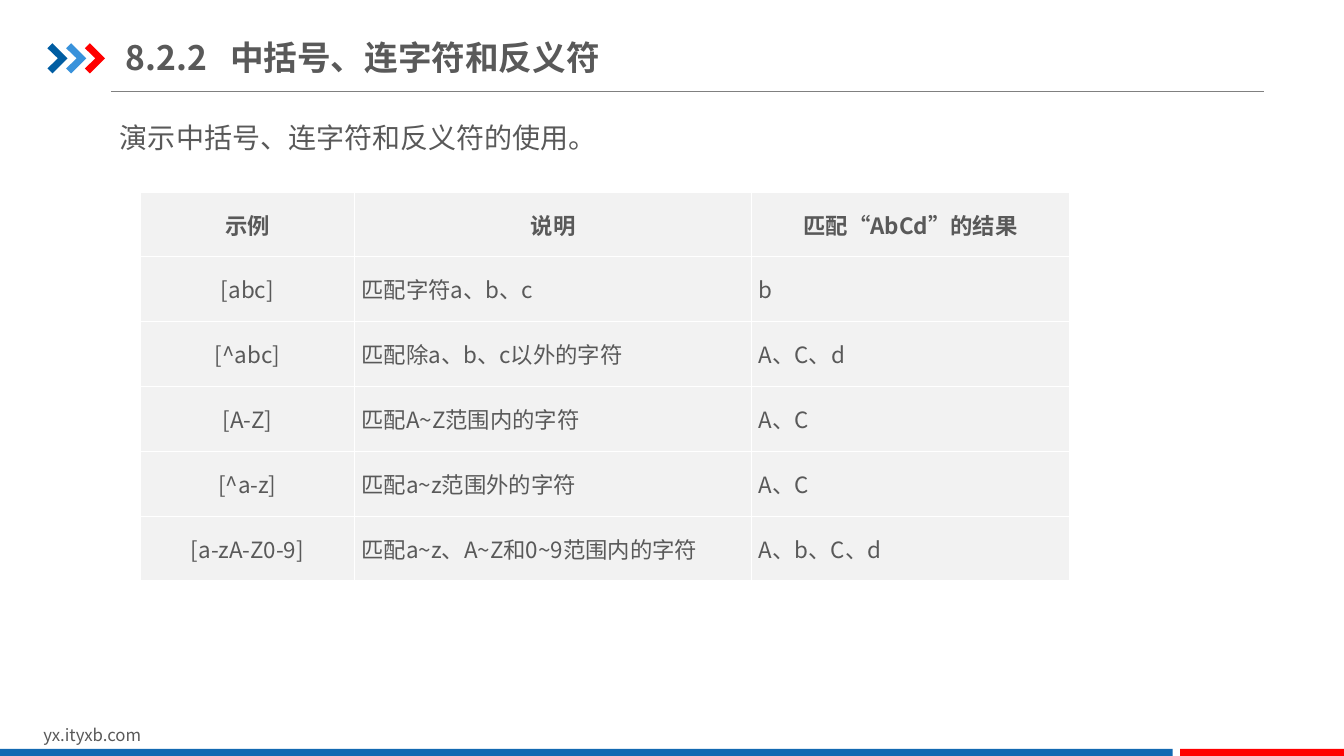
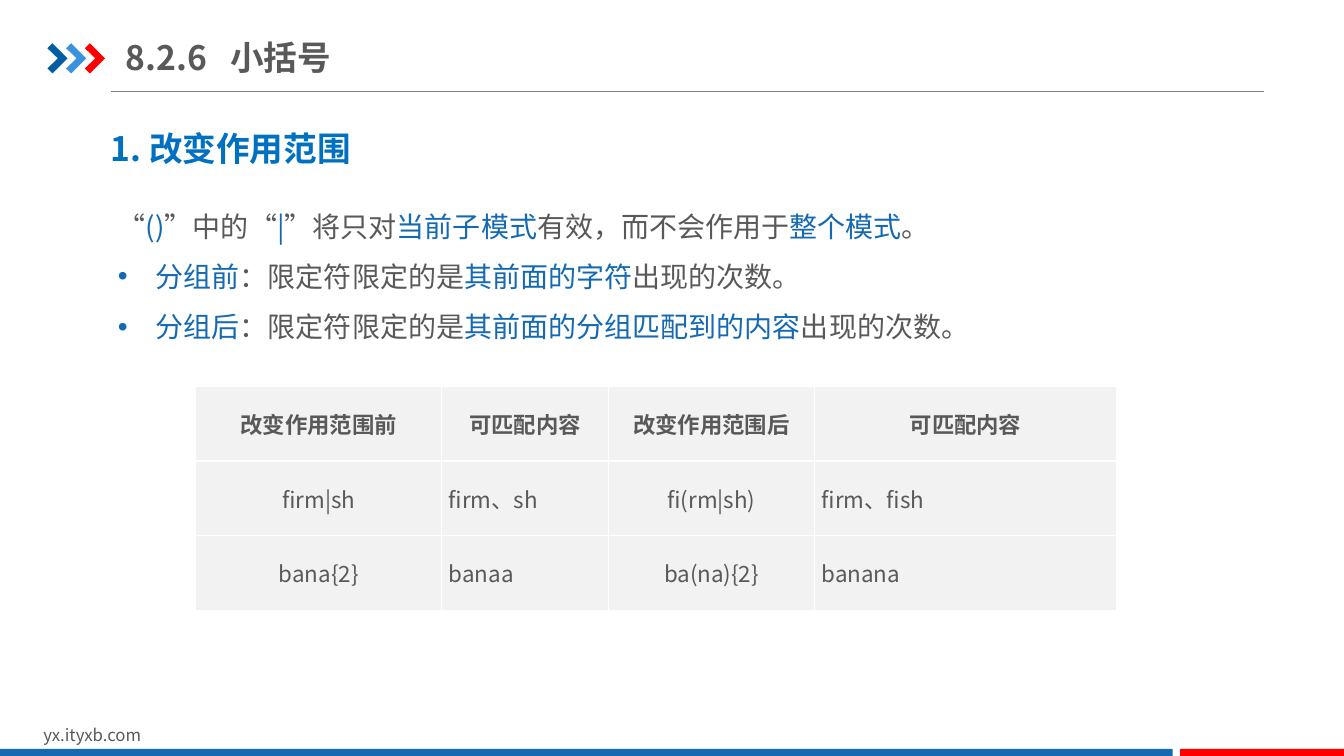
from lxml import etree
from pptx import Presentation
from pptx.dml.color import RGBColor
from pptx.enum.shapes import MSO_CONNECTOR, MSO_SHAPE
from pptx.enum.text import MSO_ANCHOR, MSO_AUTO_SIZE, PP_ALIGN
from pptx.oxml.ns import qn
from pptx.util import Inches, Pt

LEFT, CENTER = PP_ALIGN.LEFT, PP_ALIGN.CENTER
TOP, MIDDLE = MSO_ANCHOR.TOP, MSO_ANCHOR.MIDDLE
NO_AUTOFIT = MSO_AUTO_SIZE.NONE
RECTANGLE, STRAIGHT = MSO_SHAPE.RECTANGLE, MSO_CONNECTOR.STRAIGHT

FONT = "Noto Sans CJK SC"
TEXT_GRAY = RGBColor(0x59, 0x59, 0x59)
RULE_GRAY = RGBColor(0x80, 0x80, 0x80)
CELL_GRAY = RGBColor(0xF2, 0xF2, 0xF2)
ACCENT_BLUE = RGBColor(0x13, 0x69, 0xB2)
HEADING_BLUE = RGBColor(0x00, 0x70, 0xC0)
DARK_BLUE = RGBColor(0x00, 0x5D, 0xA2)
LIGHT_BLUE = RGBColor(0x39, 0x92, 0xDB)
RED = RGBColor(0xFF, 0x00, 0x00)

COLUMNS, ROWS = 160, 90
TITLE_ONLY = 5
CHEVRON = [(0, 0.6), (0.6, 0), (2.4, 1.8), (0.6, 3.6), (0, 3), (1.25, 1.8)]
CHEVRON_PITCH = 2.23


def grid(units):
    """Convert columns or rows of the square grid to a length."""
    return Inches(units / 12)


def style_runs(paragraph, size, color=TEXT_GRAY, bold=False):
    for run in paragraph.runs:
        font = run.font
        font.size, font.bold, font.name = Pt(size), bold, FONT
        font.color.rgb = color
        east_asian = etree.Element(qn("a:ea"), typeface=FONT)
        run._r.get_or_add_rPr().find(qn("a:latin")).addnext(east_asian)


def set_indent(paragraph, margin, first_line):
    properties = paragraph._p.get_or_add_pPr()
    properties.set("marL", str(grid(margin)))
    properties.set("indent", str(grid(first_line)))
    return properties


def add_bullet(paragraph):
    properties = set_indent(paragraph, 4.5, -4.5)
    etree.SubElement(properties, qn("a:buFont"), typeface="Arial")
    etree.SubElement(properties, qn("a:buChar"), char="•")


def set_cell_borders(cell):
    properties = cell._tc.get_or_add_tcPr()
    for side in ("lnL", "lnR", "lnT", "lnB"):
        line = etree.SubElement(properties, qn(f"a:{side}"), w=str(Pt(1)))
        fill = etree.SubElement(line, qn("a:solidFill"))
        etree.SubElement(fill, qn("a:srgbClr"), val="FFFFFF")


class Deck:
    """Holds the common style and the slide being filled."""

    def __init__(self):
        self.presentation = Presentation()
        self.presentation.slide_width = grid(COLUMNS)
        self.presentation.slide_height = grid(ROWS)
        self.slide = None

    def new_slide(self, number, title):
        layout = self.presentation.slide_layouts[TITLE_ONLY]
        self.slide = self.presentation.slides.add_slide(layout)
        self.title(number, title)
        self.rule(13.2, 150.5, 10.92)
        for index, color in enumerate((DARK_BLUE, LIGHT_BLUE, RED)):
            self.chevron(5.65 + index * CHEVRON_PITCH, 5.15, color)
        self.text("yx.ityxb.com", 4, 85.7, 38.2, 3.6, size=12)
        self.bar(0, 139.6, ACCENT_BLUE)
        self.bar(140.5, COLUMNS, RED)

    def title(self, number, title):
        shape = self.slide.shapes.title
        shape.left, shape.top = grid(15), grid(3.5)
        shape.width, shape.height = grid(100), grid(6.6)
        frame = shape.text_frame
        frame.text = f"{number}\t{title}"
        frame.auto_size, frame.vertical_anchor = NO_AUTOFIT, MIDDLE
        frame.margin_left = frame.margin_right = 0
        paragraph = frame.paragraphs[0]
        paragraph.alignment = LEFT
        tabs = etree.SubElement(paragraph._p.get_or_add_pPr(), qn("a:tabLst"))
        etree.SubElement(tabs, qn("a:tab"), pos=str(grid(12.4)), algn="l")
        style_runs(paragraph, 24, bold=True)

    def rule(self, left, right, top):
        connector = self.slide.shapes.add_connector(
            STRAIGHT, grid(left), grid(top), grid(right), grid(top))
        connector.line.color.rgb = RULE_GRAY
        connector.line.width = Pt(0.75)
        etree.SubElement(connector._element.spPr, qn("a:effectLst"))

    def paint(self, shape, color):
        shape.shadow.inherit = False
        shape.fill.solid()
        shape.fill.fore_color.rgb = color
        shape.line.fill.background()

    def chevron(self, left, top, color):
        points = [(grid(left + x), grid(top + y)) for x, y in CHEVRON]
        builder = self.slide.shapes.build_freeform(*points[0])
        builder.add_line_segments(points[1:], close=True)
        self.paint(builder.convert_to_shape(), color)

    def bar(self, left, right, color):
        top = 89.15
        shape = self.slide.shapes.add_shape(
            RECTANGLE, grid(left), grid(top), grid(right - left), grid(ROWS - top))
        self.paint(shape, color)

    def text_frame(self, left, top, width, height):
        box = self.slide.shapes.add_textbox(
            grid(left), grid(top), grid(width), grid(height))
        box.text_frame.word_wrap = True
        box.text_frame.vertical_anchor = TOP
        return box.text_frame

    def text(self, text, left, top, width, height, size=20,
             color=TEXT_GRAY, bold=False, first_line=0):
        frame = self.text_frame(left, top, width, height)
        frame.text = text
        set_indent(frame.paragraphs[0], 0, first_line)
        style_runs(frame.paragraphs[0], size, color, bold)

    def highlighted_list(self, lines, left, top, width, height):
        """Add an opening line and bullets; text between asterisks is blue."""
        frame = self.text_frame(left, top, width, height)
        frame.text = "\n".join(lines)
        for index, paragraph in enumerate(frame.paragraphs):
            paragraph.line_spacing = 1.5
            if index:
                add_bullet(paragraph)
            parts = paragraph.text.split("*")
            paragraph.clear()
            for part in filter(None, parts):
                paragraph.add_run().text = part
            style_runs(paragraph, 20)
            blue_parts = parts[1::2]
            for run in paragraph.runs:
                if run.text in blue_parts:
                    run.font.color.rgb = ACCENT_BLUE

    def table(self, rows, left, top, widths, row_height, centered):
        """Add a table whose header and `centered` columns are centred."""
        table = self.slide.shapes.add_table(
            len(rows), len(widths), grid(left), grid(top),
            grid(sum(widths)), grid(row_height * len(rows))).table
        table.horz_banding = False
        for column, width in zip(table.columns, widths):
            column.width = grid(width)
        for row_index, (row, texts) in enumerate(zip(table.rows, rows)):
            row.height = grid(row_height)
            header = row_index == 0
            for column_index, (cell, text) in enumerate(zip(row.cells, texts)):
                set_cell_borders(cell)
                cell.fill.solid()
                cell.fill.fore_color.rgb = CELL_GRAY
                cell.vertical_anchor = MIDDLE
                cell.margin_left = cell.margin_right = Inches(0.07)
                cell.margin_top = cell.margin_bottom = 0
                cell.text = text
                paragraph = cell.text_frame.paragraphs[0]
                is_centered = header or column_index in centered
                paragraph.alignment = CENTER if is_centered else LEFT
                style_runs(paragraph, 16, bold=header)


def bracket_slide(deck):
    deck.new_slide("8.2.2", "中括号、连字符和反义符")
    deck.text("演示中括号、连字符和反义符的使用。", 9.6, 13.8, 135, 5.3,
              first_line=3.5)
    rows = [
        ("示例", "说明", "匹配“AbCd”的结果"),
        ("[abc]", "匹配字符a、b、c", "b"),
        ("[^abc]", "匹配除a、b、c以外的字符", "A、C、d"),
        ("[A-Z]", "匹配A~Z范围内的字符", "A、C"),
        ("[^a-z]", "匹配a~z范围外的字符", "A、C"),
        ("[a-zA-Z0-9]", "匹配a~z、A~Z和0~9范围内的字符", "A、b、C、d"),
    ]
    deck.table(rows, 16.7, 22.85, (25.5, 47.3, 37.8), 7.72, centered={0})


def parenthesis_slide(deck):
    deck.new_slide("8.2.6", "小括号")
    deck.text("1. 改变作用范围", 12, 14.6, 79.3, 6, size=24,
              color=HEADING_BLUE, bold=True)
    lines = [
        "“*()*”中的“*|*”将只对*当前子模式*有效，而不会作用于*整个模式*。",
        "*分组前*：限定符限定的是*其前面的字符*出现的次数。",
        "*分组后*：限定符限定的是*其前面的分组匹配到的内容*出现的次数。",
    ]
    deck.highlighted_list(lines, 12.85, 22.3, 136.7, 19.4)
    rows = [
        ("改变作用范围前", "可匹配内容", "改变作用范围后", "可匹配内容"),
        ("firm|sh", "firm、sh", "fi(rm|sh)", "firm、fish"),
        ("bana{2}", "banaa", "ba(na){2}", "banana"),
    ]
    deck.table(rows, 23.3, 46, (29.3, 19.8, 24.6, 35.9), 8.88, centered={0, 2})


def main():
    deck = Deck()
    bracket_slide(deck)
    parenthesis_slide(deck)
    deck.presentation.save("out.pptx")


if __name__ == "__main__":
    main()
